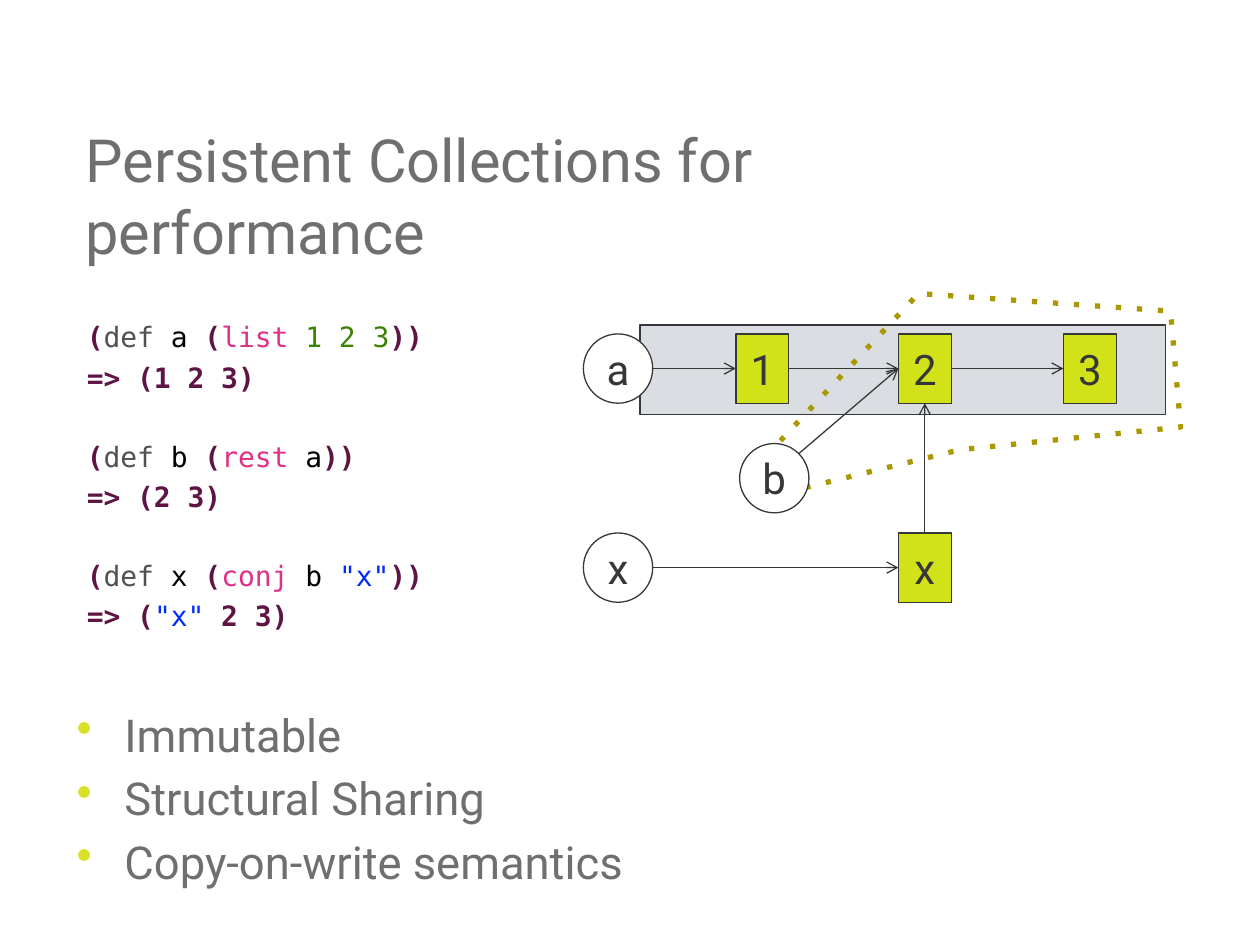
from pptx import Presentation
from pptx.dml.color import RGBColor
from pptx.enum.dml import MSO_LINE
from pptx.enum.shapes import MSO_CONNECTOR, MSO_SHAPE
from pptx.enum.text import MSO_ANCHOR, MSO_AUTO_SIZE, PP_ALIGN
from pptx.oxml.ns import qn
from pptx.util import Inches, Pt
from lxml import etree

RECT, OVAL = MSO_SHAPE.RECTANGLE, MSO_SHAPE.OVAL
LINE, DOTS = MSO_CONNECTOR.STRAIGHT, MSO_LINE.ROUND_DOT
MID, LEFT, MIDDLE = MSO_ANCHOR.MIDDLE, PP_ALIGN.LEFT, PP_ALIGN.CENTER
FIXED = MSO_AUTO_SIZE.NONE

GREY, INK, LIME, WHITE = "6D6F71", "363738", "D1E318", "FFFFFF"
SANS, MONO = "Roboto", "DejaVu Sans Mono"
STYLES = {
    "mark": ("5E1445", True),
    "def": ("515151", False),
    "name": ("000000", False),
    "call": ("E03186", False),
    "num": ("3C8203", False),
    "str": ("0029FA", False),
}
CODE = [
    [[("mark", "("), ("def", "def "), ("name", "a "), ("mark", "("),
      ("call", "list "), ("num", "1 2 3"), ("mark", "))")],
     [("mark", "=> (1 2 3)")]],
    [[("mark", "("), ("def", "def "), ("name", "b "), ("mark", "("),
      ("call", "rest "), ("name", "a"), ("mark", "))")],
     [("mark", "=> (2 3)")]],
    [[("mark", "("), ("def", "def "), ("name", "x "), ("mark", "("),
      ("call", "conj "), ("name", "b "), ("str", '"x"'), ("mark", "))")],
     [("mark", "=> ("), ("str", '"x"'), ("mark", " 2 3)")]],
]
POINTS = ["Immutable", "Structural Sharing", "Copy-on-write semantics"]


def color(code):
    return RGBColor.from_string(code)


def apply(item, **values):
    for key, value in values.items():
        setattr(item, key, value)


def write(para, text, size, font, ink, bold=False):
    run = para.add_run()
    run.text = text
    apply(run.font, size=Pt(size), name=font, bold=bold)
    run.font.color.rgb = color(ink)


def stroke(line, ink, width):
    line.color.rgb = color(ink)
    line.width = Pt(width)


def title(slide, box, text):
    shape = slide.shapes.title
    apply(shape, **dict(zip(("left", "top", "width", "height"), map(Inches, box))))
    frame = shape.text_frame
    apply(frame, word_wrap=True, auto_size=FIXED, vertical_anchor=MID)
    para = frame.paragraphs[0]
    para.alignment = LEFT
    write(para, text, 34, SANS, GREY)


def frame_in(slide, box):
    frame = slide.shapes.add_textbox(*map(Inches, box)).text_frame
    frame.word_wrap = True
    return frame


def paras(frame, count):
    return [frame.paragraphs[0]] + [frame.add_paragraph() for _ in range(count - 1)]


def code(slide, box):
    lines = [(i, j, line) for i, block in enumerate(CODE)
             for j, line in enumerate(block)]
    frame = frame_in(slide, box)
    for para, (i, j, line) in zip(paras(frame, len(lines)), lines):
        para.space_before = Pt(26 if i and not j else 3.7)
        for kind, text in line:
            write(para, text, 16, MONO, *STYLES[kind])


def bullets(slide, box):
    frame = frame_in(slide, box)
    for para, text in zip(paras(frame, len(POINTS)), POINTS):
        para.space_before = Pt(5.2)
        write(para, text, 25.9, SANS, GREY)
        props = para._p.get_or_add_pPr()
        props.set("marL", str(Inches(0.38)))
        props.set("indent", str(Inches(-0.38)))
        tint = etree.SubElement(props, qn("a:buClr"))
        etree.SubElement(tint, qn("a:srgbClr"), val="D8E126")
        etree.SubElement(props, qn("a:buChar"), char="•")


def block(slide, kind, box, fill, text=""):
    shape = slide.shapes.add_shape(kind, *map(Inches, box))
    shape.shadow.inherit = False
    shape.fill.solid()
    shape.fill.fore_color.rgb = color(fill)
    stroke(shape.line, INK, 0.75)
    if text:
        frame = shape.text_frame
        apply(frame, margin_left=0, margin_right=0, margin_top=0,
              margin_bottom=0, vertical_anchor=MID)
        frame.paragraphs[0].alignment = MIDDLE
        write(frame.paragraphs[0], text, 24, SANS, INK)


def arrow(slide, start, end):
    link = slide.shapes.add_connector(LINE, *map(Inches, start + end))
    stroke(link.line, INK, 0.75)
    etree.SubElement(link.line._get_or_add_ln(), qn("a:tailEnd"), type="arrow")
    etree.SubElement(link._element.spPr, qn("a:effectLst"))


def outline(slide, left, top):
    spots = [(1.45, 1.29), (2.66, 0), (4.66, 0.14), (4.74, 1.06),
             (2.99, 1.24), (1.64, 1.57)]
    first, *rest = [(Inches(left + x), Inches(top + y)) for x, y in spots]
    path = slide.shapes.build_freeform(*first)
    path.add_line_segments(rest, close=True)
    shape = path.convert_to_shape()
    shape.shadow.inherit = False
    shape.fill.background()
    stroke(shape.line, "AA9800", 3)
    shape.line.dash_style = DOTS
    shape.line._get_or_add_ln().find(qn("a:prstDash")).set("val", "dot")


def diagram(slide, box):
    left, top, width, height = box
    side, wide = 0.55, 0.42
    high, low = top + 0.32, top + 1.9
    cols = [left + x for x in (1.21, 2.5, 3.81)]
    mid, base = high + side / 2, low + side / 2
    block(slide, RECT, (left + 0.45, top + 0.25, 4.17, 0.71), "DADEE2")
    outline(slide, left, top)
    cells = [(col, high, text) for col, text in zip(cols, "123")]
    for x, y, text in cells + [(cols[1], low, "x")]:
        block(slide, RECT, (x, y, wide, side), LIME, text)
    for x, y, text in [(left, high, "a"), (left + 1.24, top + 1.19, "b"),
                       (left, low, "x")]:
        block(slide, OVAL, (x, y, side, side), WHITE, text)
    starts = [left + side] + [col + wide for col in cols]
    for start, end in zip(starts, cols):
        arrow(slide, (start, mid), (end, mid))
    arrow(slide, (left + 1.71, top + 1.27), (cols[1], mid))
    arrow(slide, (left + side, base), (cols[1], base))
    stem = cols[1] + wide / 2
    arrow(slide, (stem, low), (stem, high + side))


def main():
    deck = Presentation()
    apply(deck, slide_width=Inches(10), slide_height=Inches(7.5))
    slide = deck.slides.add_slide(deck.slide_layouts[5])
    title(slide, (0.58, 1.17, 7, 0.75), "Persistent Collections for performance")
    bullets(slide, (0.51, 5.56, 8.66, 1.35))
    diagram(slide, (4.63, 2.33, 4.75, 2.45))
    code(slide, (0.59, 2.49, 4.49, 2.99))
    deck.save("out.pptx")


if __name__ == "__main__":
    main()
